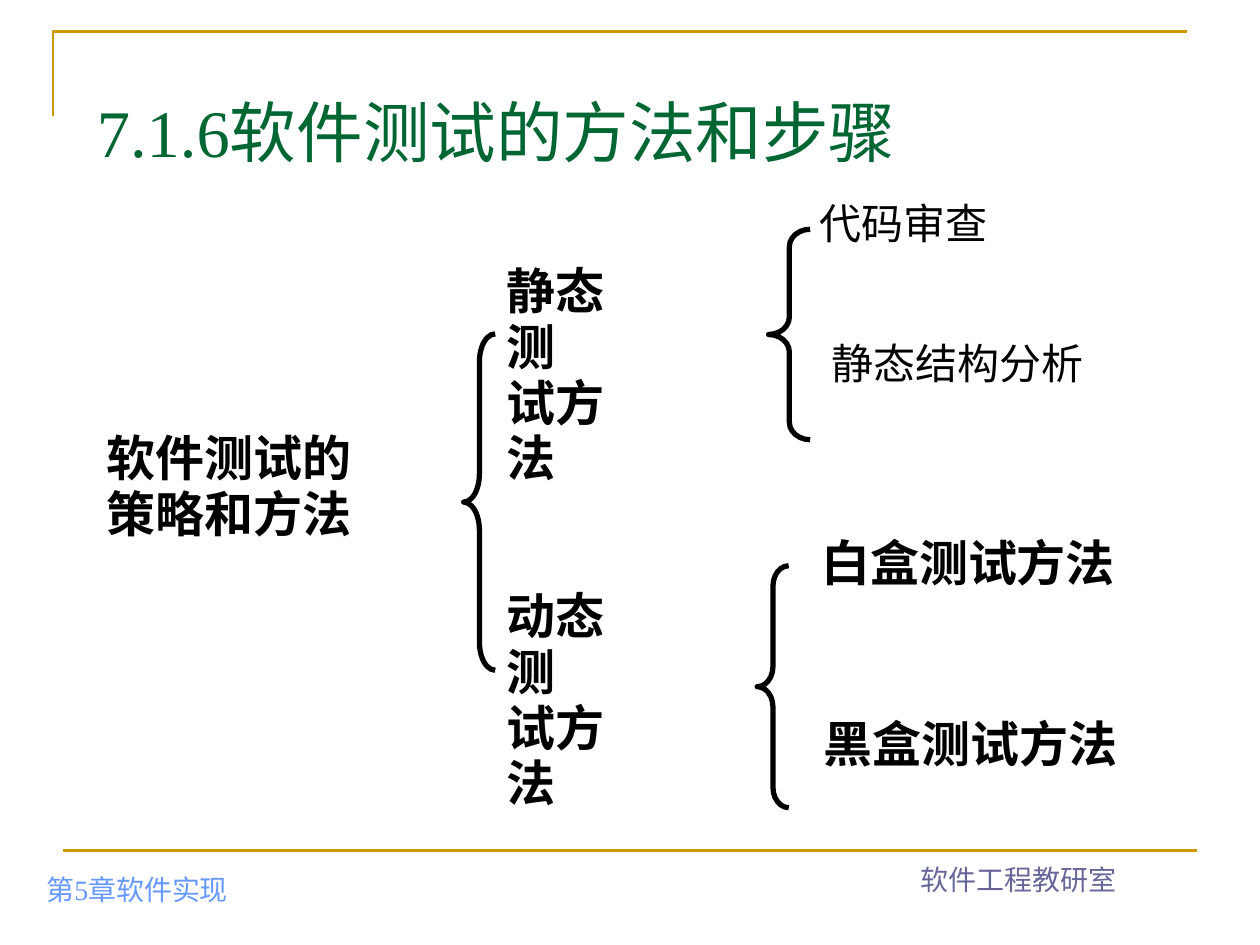
"""Build a slide that sorts software testing methods into a tree of braces."""
from lxml import etree
from pptx import Presentation
from pptx.dml.color import RGBColor
from pptx.enum.shapes import MSO_CONNECTOR, MSO_SHAPE
from pptx.enum.text import MSO_ANCHOR, MSO_AUTO_SIZE, PP_ALIGN
from pptx.oxml.ns import qn
from pptx.util import Inches, Pt

BRACE = MSO_SHAPE.LEFT_BRACE
LINE = MSO_CONNECTOR.STRAIGHT
TOP, MID, LOW = MSO_ANCHOR.TOP, MSO_ANCHOR.MIDDLE, MSO_ANCHOR.BOTTOM
LEFT, CENTER = PP_ALIGN.LEFT, PP_ALIGN.CENTER
FIT = MSO_AUTO_SIZE.SHAPE_TO_FIT_TEXT
SERIF, SANS, CJK = "Times New Roman", "Arial", "Noto Sans CJK SC"
COLORS = {"gold": "CC9900", "green": "006633", "blue": "6699FF",
          "slate": "666699", "black": "000000"}


def rgb(name):
    return RGBColor.from_string(COLORS[name])


def add_text(box, lines, size, face, color, bold=False, anchor=TOP,
             align=LEFT, space=None, wrap=True):
    shape = slide.shapes.add_textbox(*map(Inches, box))
    frame = shape.text_frame
    frame.word_wrap = wrap
    frame.vertical_anchor = anchor
    if not wrap:
        frame.auto_size = FIT
    for i, line in enumerate(lines):
        para = frame.paragraphs[0] if i == 0 else frame.add_paragraph()
        para.alignment = align
        para.line_spacing = space
        run = para.add_run()
        run.text = line
        run.font.size = Pt(size)
        run.font.bold = bold
        run.font.color.rgb = rgb(color)
        run.font.name = face
        east = etree.SubElement(run.font._element, qn("a:ea"))
        east.set("typeface", CJK)


deck = Presentation()
deck.slide_width, deck.slide_height = Inches(10), Inches(7.5)
slide = deck.slides.add_slide(deck.slide_layouts[6])

pen = slide.shapes.build_freeform(Inches(0.42), Inches(0.92))
pen.add_line_segments([(Inches(0.42), Inches(0.25)),
                       (Inches(9.42), Inches(0.25))], close=False)
frame = pen.convert_to_shape()
frame.shadow.inherit = False
frame.fill.background()

rule = slide.shapes.add_connector(
    LINE, Inches(0.5), Inches(6.75), Inches(9.5), Inches(6.75))
etree.SubElement(rule._element.spPr, qn("a:effectLst"))
for edge in (frame, rule):
    edge.line.color.rgb = rgb("gold")
    edge.line.width = Pt(1.5)

add_text((0.27, 6.74, 3.15, 0.5), ["第5章软件实现"], 16, SERIF, "blue", anchor=LOW)
add_text((6.5, 6.66, 3.17, 0.5), ["软件工程教研室"], 16, SERIF, "slate",
         anchor=LOW, align=CENTER)
add_text((0.67, 0.69, 8.98, 0.7), ["7.1.6软件测试的方法和步骤"], 38, SERIF,
         "green", anchor=MID)

METHODS = [
    ((0.75, 3.38, 2.14, 0.98), ["软件测试的", "策略和方法"]),
    ((3.92, 2.05, 1.36, 0.98), ["静态测", "试方法"]),
    ((3.92, 4.63, 1.36, 0.98), ["动态测", "试方法"]),
    ((6.42, 4.21, 2.53, 0.54), ["白盒测试方法"]),
    ((6.44, 5.65, 2.53, 0.54), ["黑盒测试方法"]),
]
for box, lines in METHODS:
    add_text(box, lines, 28, CJK, "black", bold=True, space=0.95, wrap=False)

CHECKS = [
    ((6.41, 1.55, 1.53, 0.48), "代码审查", 0.95),
    ((6.5, 2.63, 2.2, 0.5), "静态结构分析", None),
]
for box, line, space in CHECKS:
    add_text(box, [line], 24, SANS, "black", space=space, wrap=False)

BRACES = [(3.68, 2.65, 0.25, 2.67), (6.1, 1.82, 0.33, 1.67),
          (6.01, 4.49, 0.25, 1.92)]
for x, y, w, h in BRACES:
    brace = slide.shapes.add_shape(BRACE, *map(Inches, (x, y, w, h)))
    brace.adjustments[0] = h / 12 / w
    brace.shadow.inherit = False
    brace.fill.background()
    brace.line.color.rgb = rgb("black")
    brace.line.width = Pt(3)

deck.save("out.pptx")
